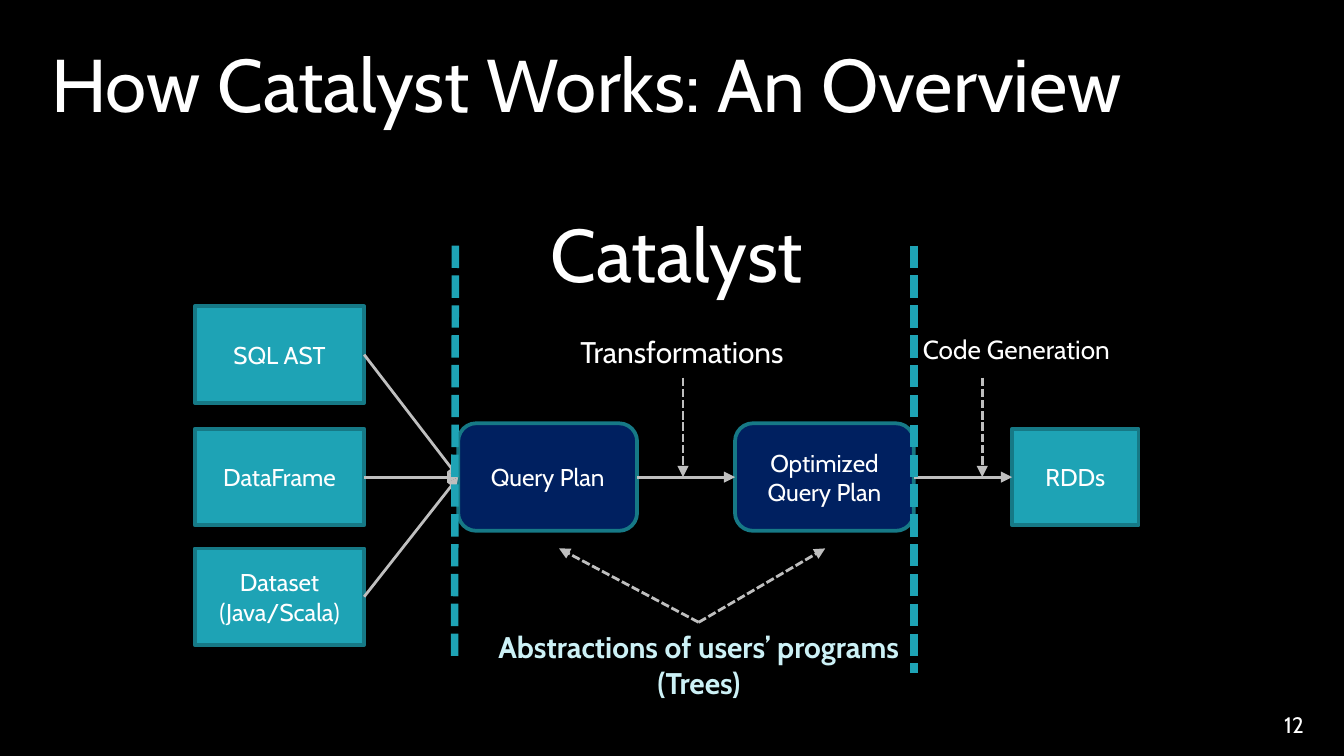
"""Build the slide that gives an overview of how Catalyst works."""
from lxml.etree import SubElement
from pptx import Presentation
from pptx.dml.color import RGBColor
from pptx.enum.dml import MSO_LINE
from pptx.enum.shapes import MSO_CONNECTOR, MSO_SHAPE
from pptx.enum.text import MSO_ANCHOR, MSO_AUTO_SIZE, PP_ALIGN
from pptx.oxml.ns import qn
from pptx.util import Pt

COLORS = {
    "background": "000000",
    "text": "FFFFFF",
    "teal": "1EA3B5",
    "outline": "167986",
    "navy": "002060",
    "arrow": "BFBFBF",
    "abstraction": "CCF1F6",
}
ROW_Y = 255.6


def write(frame, text, size, align=PP_ALIGN.LEFT, color="text", bold=False):
    frame.text = text
    for paragraph in frame.paragraphs:
        paragraph.alignment = align
        for run in paragraph.runs:
            run.font.name = "Cabin"
            run.font.size = Pt(size)
            run.font.bold = bold
            run.font.color.rgb = RGBColor.from_string(COLORS[color])


def draw_line(start, end, color="arrow", width=1.5, dashed=False, arrow=True):
    line = slide.shapes.add_connector(
        MSO_CONNECTOR.STRAIGHT, *[Pt(value) for value in (*start, *end)]
    )
    line.line.color.rgb = RGBColor.from_string(COLORS[color])
    line.line.width = Pt(width)
    if dashed:
        line.line.dash_style = MSO_LINE.SQUARE_DOT
    if arrow:
        SubElement(line.line._get_or_add_ln(), qn("a:tailEnd"), type="triangle")
    SubElement(line._element.spPr, qn("a:effectLst"))
    return line


presentation = Presentation()
presentation.slide_width, presentation.slide_height = Pt(720), Pt(405)
slide = presentation.slides.add_slide(presentation.slide_layouts[5])
slide.background.fill.solid()
slide.background.fill.fore_color.rgb = RGBColor.from_string(COLORS["background"])

title = slide.shapes.title
title.left, title.top, title.width, title.height = Pt(20.2), Pt(16.6), Pt(674), Pt(67.7)
title.text_frame.auto_size = MSO_AUTO_SIZE.NONE
title.text_frame.vertical_anchor = MSO_ANCHOR.TOP
write(title.text_frame, "How Catalyst Works: An Overview", 40)

steps = {}
for label, left, middle, width, height, outline, fill, inset in [
    ("SQL AST", 104.4, 190, 90.7, 51.8, MSO_SHAPE.RECTANGLE, "teal", 3.6),
    ("DataFrame", 104.4, ROW_Y, 90.7, 51.8, MSO_SHAPE.RECTANGLE, "teal", 3.6),
    ("Dataset\n(Java/Scala)", 104.4, 319.7, 90.7, 51.8, MSO_SHAPE.RECTANGLE, "teal", 3.6),
    ("Query Plan", 245.5, ROW_Y, 95.8, 57.6, MSO_SHAPE.ROUNDED_RECTANGLE, "navy", 0),
    ("Optimized Query Plan", 393.8, ROW_Y, 95.8, 57.6, MSO_SHAPE.ROUNDED_RECTANGLE, "navy", 0),
    ("RDDs", 542.2, ROW_Y, 67.7, 51.8, MSO_SHAPE.RECTANGLE, "teal", 3.6),
]:
    step = slide.shapes.add_shape(
        outline, Pt(left), Pt(middle - height / 2), Pt(width), Pt(height)
    )
    step.shadow.inherit = False
    step.fill.solid()
    step.fill.fore_color.rgb = RGBColor.from_string(COLORS[fill])
    step.line.color.rgb = RGBColor.from_string(COLORS["outline"])
    step.line.width = Pt(2)
    frame = step.text_frame
    frame.word_wrap = True
    frame.vertical_anchor = MSO_ANCHOR.MIDDLE
    frame.margin_left = frame.margin_right = 0
    frame.margin_top = frame.margin_bottom = Pt(inset)
    write(frame, label, 13, PP_ALIGN.CENTER)
    steps[label] = step

for source, target in [
    ("SQL AST", "Query Plan"),
    ("DataFrame", "Query Plan"),
    ("Dataset\n(Java/Scala)", "Query Plan"),
    ("Query Plan", "Optimized Query Plan"),
    ("Optimized Query Plan", "RDDs"),
]:
    flow = draw_line((0, 0), (0, 0))
    flow.begin_connect(steps[source], 3)
    flow.end_connect(steps[target], 1)

for phase_x in (365.9, 526.2):
    draw_line((phase_x, 202.3), (phase_x, ROW_Y), dashed=True)
for top_x, bottom_x, bottom in [(244, 243.5, 353.5), (489.6, 489.6, 360.7)]:
    draw_line((top_x, 131.6), (bottom_x, bottom), "teal", 4, dashed=True, arrow=False)
for plan_x in (299.5, 442.1):
    draw_line((374.3, 333.4), (plan_x, 293.8), dashed=True)

for label, left, top, width, height, size, align, color, bold, wrap in [
    ("Code Generation", 487.4, 175, 116, 24.5, 14, PP_ALIGN.LEFT, "text", False, True),
    ("Transformations", 301.7, 175, 127.4, 26.6, 16, PP_ALIGN.CENTER, "text", False, False),
    ("Catalyst", 288, 108, 165.6, 57.6, 40, PP_ALIGN.LEFT, "text", False, True),
    ("Abstractions of users’ programs\n(Trees)", 253.4, 333.4, 242, 46, 16,
     PP_ALIGN.CENTER, "abstraction", True, False),
    ("12", 665.3, 377.3, 40.3, 21.6, 12, PP_ALIGN.RIGHT, "text", False, True),
]:
    caption = slide.shapes.add_textbox(Pt(left), Pt(top), Pt(width), Pt(height))
    caption.text_frame.word_wrap = wrap
    write(caption.text_frame, label, size, align, color, bold)

presentation.save("out.pptx")
